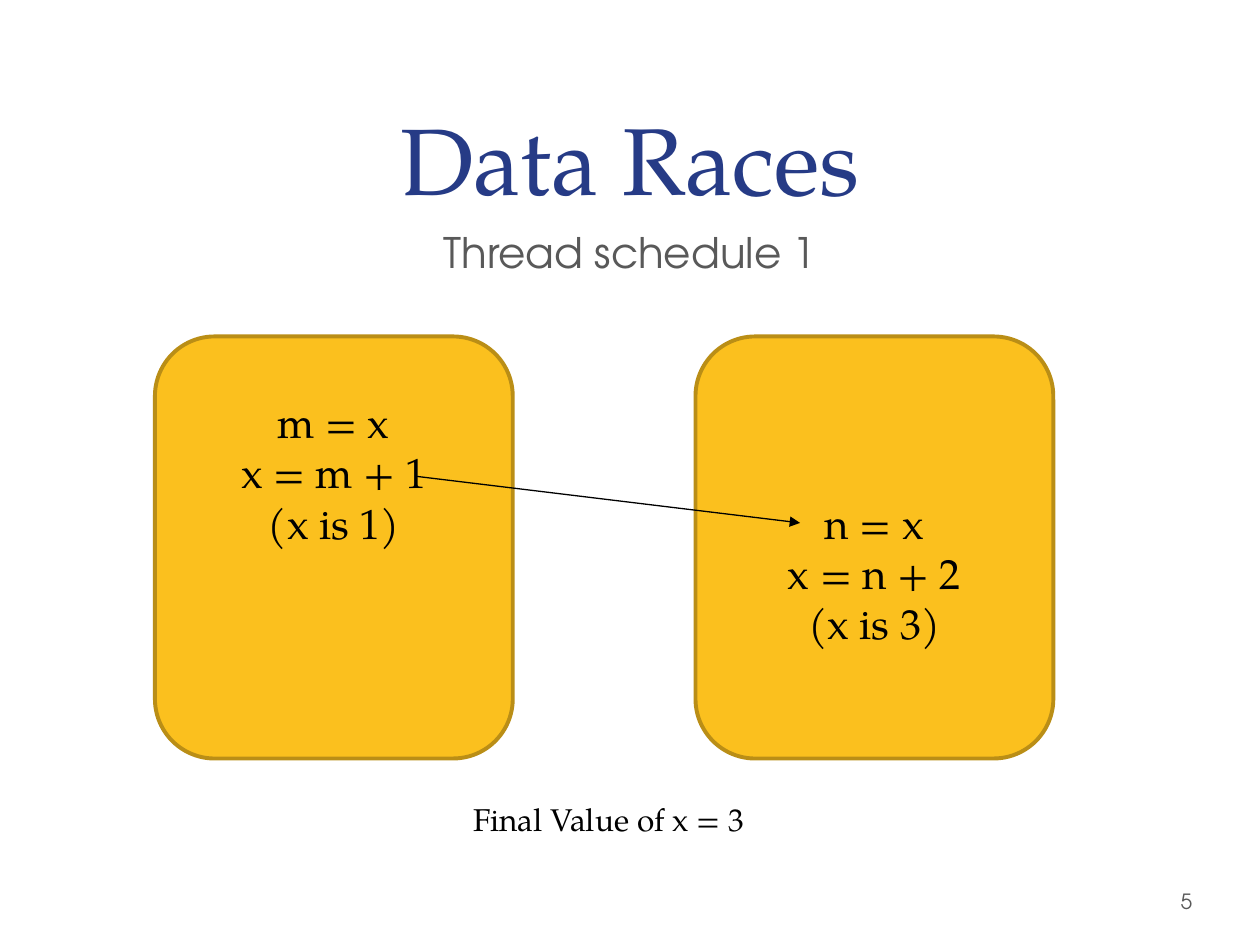
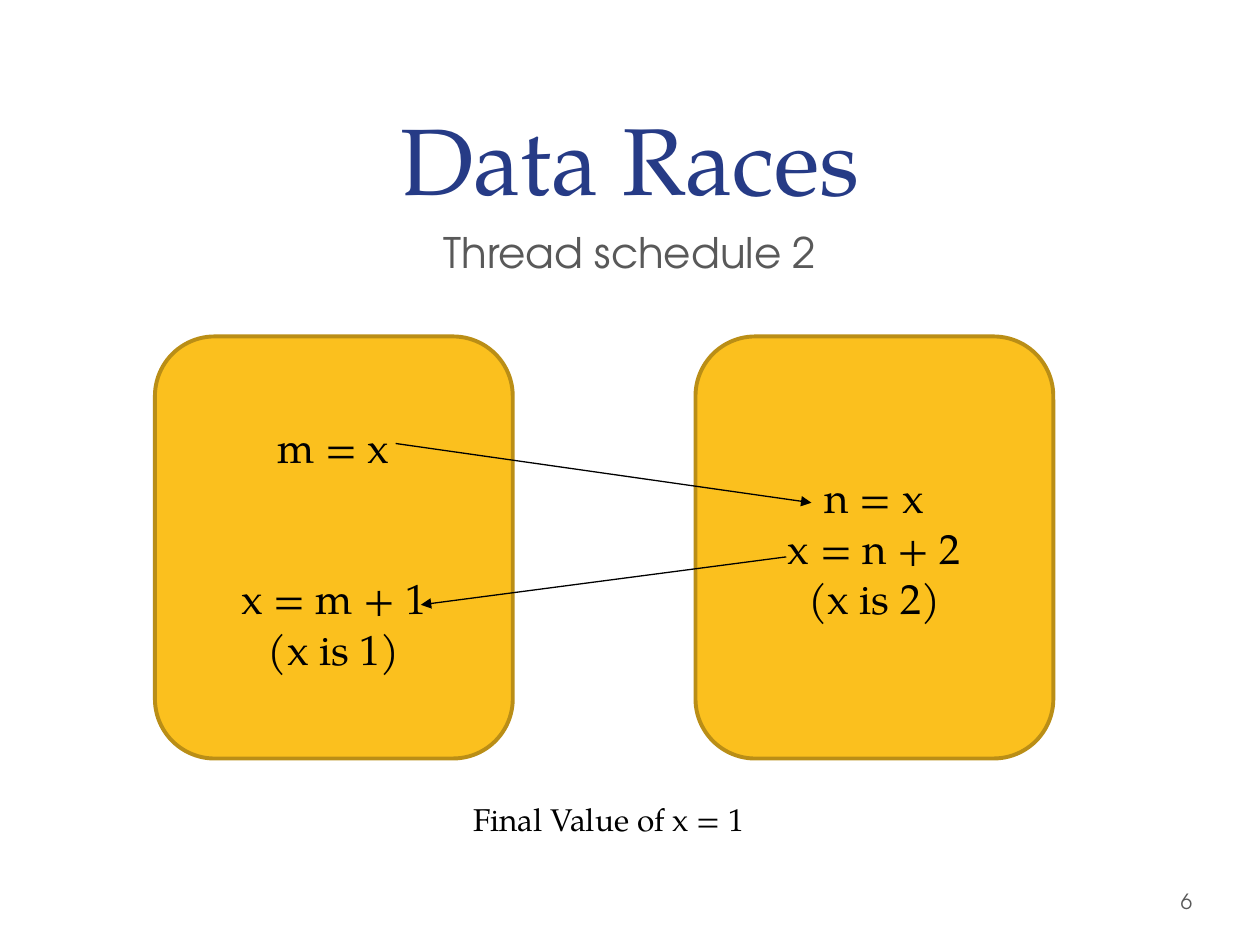
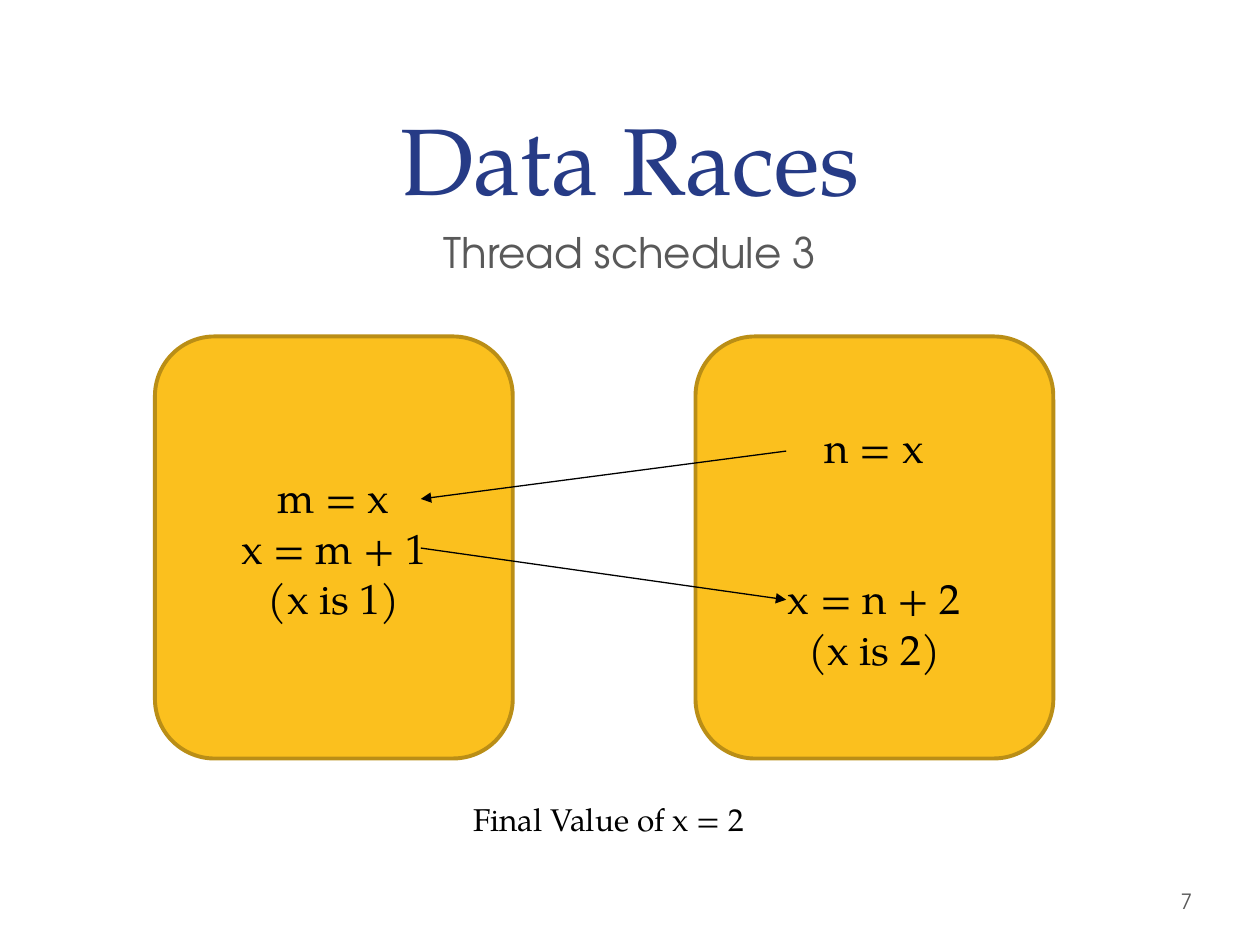
from pptx import Presentation
from pptx.dml.color import RGBColor
from pptx.enum import shapes, text
from pptx.oxml.ns import qn
from pptx.util import Inches, Pt
from lxml import etree

# Shared look
NAVY = RGBColor(0x26, 0x3B, 0x86)
GREY = RGBColor(0x59, 0x59, 0x59)
BLACK = RGBColor(0x00, 0x00, 0x00)
AMBER = RGBColor(0xFB, 0xC0, 0x1E)
BRONZE = RGBColor(0xBA, 0x8E, 0x16)
SERIF = "TeX Gyre Pagella"
SANS = "TeX Gyre Adventor"
TITLE_FONT = {"name": SERIF, "size": Pt(54), "color": NAVY}
SUBTITLE_FONT = {"name": SANS, "size": Pt(24), "color": GREY}
NUMBER_FONT = {"name": SANS, "size": Pt(12), "color": GREY}
CODE_FONT = {"name": SERIF, "size": Pt(24), "color": BLACK}
RESULT_FONT = {"name": SERIF, "size": Pt(18), "color": BLACK}
CENTER = {"alignment": text.PP_ALIGN.CENTER}
MIDDLE = {"vertical_anchor": text.MSO_ANCHOR.MIDDLE}
BOTTOM = {"vertical_anchor": text.MSO_ANCHOR.BOTTOM}

# Thread boxes: left edges, and the height of one line of code
THREAD_LEFTS = (1.23, 5.52)
CODE_LINE = 0.4
FIRST_NUMBER = 5

# Each thread has its code, blank lines (above, below), and a gap in lines
# before the statement that waits; arrows run from x, y to x, y
SCHEDULES = [
    {"threads": [
        {"code": ["m = x", "x = m + 1", "(x is 1)"], "below": 3},
        {"code": ["n = x", "x = n + 2", "(x is 3)"], "above": 1}],
     "arrows": [(3.3, 3.78, 6.35, 4.15)], "result": 3},
    {"threads": [
        {"code": ["m = x", "x = m + 1", "(x is 1)"], "gap": 2},
        {"code": ["n = x", "x = n + 2", "(x is 2)"]}],
     "arrows": [(3.14, 3.52, 6.44, 3.99), (6.24, 4.42, 3.34, 4.8)],
     "result": 1},
    {"threads": [
        {"code": ["m = x", "x = m + 1", "(x is 1)"]},
        {"code": ["n = x", "x = n + 2", "(x is 2)"], "gap": 2}],
     "arrows": [(3.34, 4.35, 6.24, 4.76), (6.24, 3.58, 3.34, 3.96)],
     "result": 2},
]


def apply(target, values):
    for name, value in values.items():
        setattr(target, name, value)


def write_line(para, words, font, layout):
    apply(para, layout)
    span = para.add_run()
    span.text = words
    for name, value in font.items():
        if name == "color":
            span.font.color.rgb = value
        else:
            setattr(span.font, name, value)


def add_label(page, place, words, font, frame_values=None, layout=None):
    box = page.shapes.add_textbox(*map(Inches, place))
    frame = box.text_frame
    apply(frame, {"word_wrap": True, **(frame_values or {})})
    write_line(frame.paragraphs[0], words, font, layout or {})


def add_thread(page, left, code, above=0, below=0, gap=0):
    box = page.shapes.add_shape(shapes.MSO_SHAPE.ROUNDED_RECTANGLE,
                                *map(Inches, (left, 2.67, 2.84, 3.35)))
    box.shadow.inherit = False
    box.fill.solid()
    box.fill.fore_color.rgb = AMBER
    box.line.color.rgb = BRONZE
    box.line.width = Pt(2.25)

    frame = box.text_frame
    apply(frame, {"word_wrap": True, **MIDDLE,
                  "margin_top": Inches(0.05 + above * CODE_LINE),
                  "margin_bottom": Inches(0.05 + below * CODE_LINE)})
    for index, statement in enumerate(code):
        para = frame.paragraphs[0] if index == 0 else frame.add_paragraph()
        layout = dict(CENTER)
        if index == 1 and gap:
            layout["space_before"] = Inches(gap * CODE_LINE)
        write_line(para, statement, CODE_FONT, layout)


def add_arrow(page, ends):
    arrow = page.shapes.add_connector(shapes.MSO_CONNECTOR.STRAIGHT,
                                      *map(Inches, ends))
    arrow.line.color.rgb = BLACK
    arrow.line.width = Pt(0.75)
    etree.SubElement(arrow.line._get_or_add_ln(), qn("a:tailEnd"),
                     type="triangle")
    etree.SubElement(arrow._element.spPr, qn("a:effectLst"))


def add_heading(page, number):
    add_label(page, (0.5, 0, 9, 1.75), "Data Races", TITLE_FONT, BOTTOM,
              {**CENTER, "line_spacing": Pt(58)})
    add_label(page, (0.5, 1.75, 9, 0.6), f"Thread schedule {number}",
              SUBTITLE_FONT, None, {**CENTER, "space_before": Pt(4.8)})


def add_page_number(page, number):
    add_label(page, (9.34, 6.95, 0.61, 0.4), str(number), NUMBER_FONT,
              {**MIDDLE, "margin_left": Inches(0.03),
               "margin_right": Inches(0.05)})


def main():
    deck = Presentation()
    deck.slide_width, deck.slide_height = Inches(10), Inches(7.5)
    for index, schedule in enumerate(SCHEDULES):
        page = deck.slides.add_slide(deck.slide_layouts[6])
        add_heading(page, index + 1)
        add_page_number(page, FIRST_NUMBER + index)
        for left, thread in zip(THREAD_LEFTS, schedule["threads"]):
            add_thread(page, left, **thread)
        for ends in schedule["arrows"]:
            add_arrow(page, ends)
        add_label(page, (3.66, 6.3, 2.35, 0.4),
                  f"Final Value of x = {schedule['result']}", RESULT_FONT,
                  {"margin_right": 0})
    deck.save("out.pptx")


if __name__ == "__main__":
    main()
